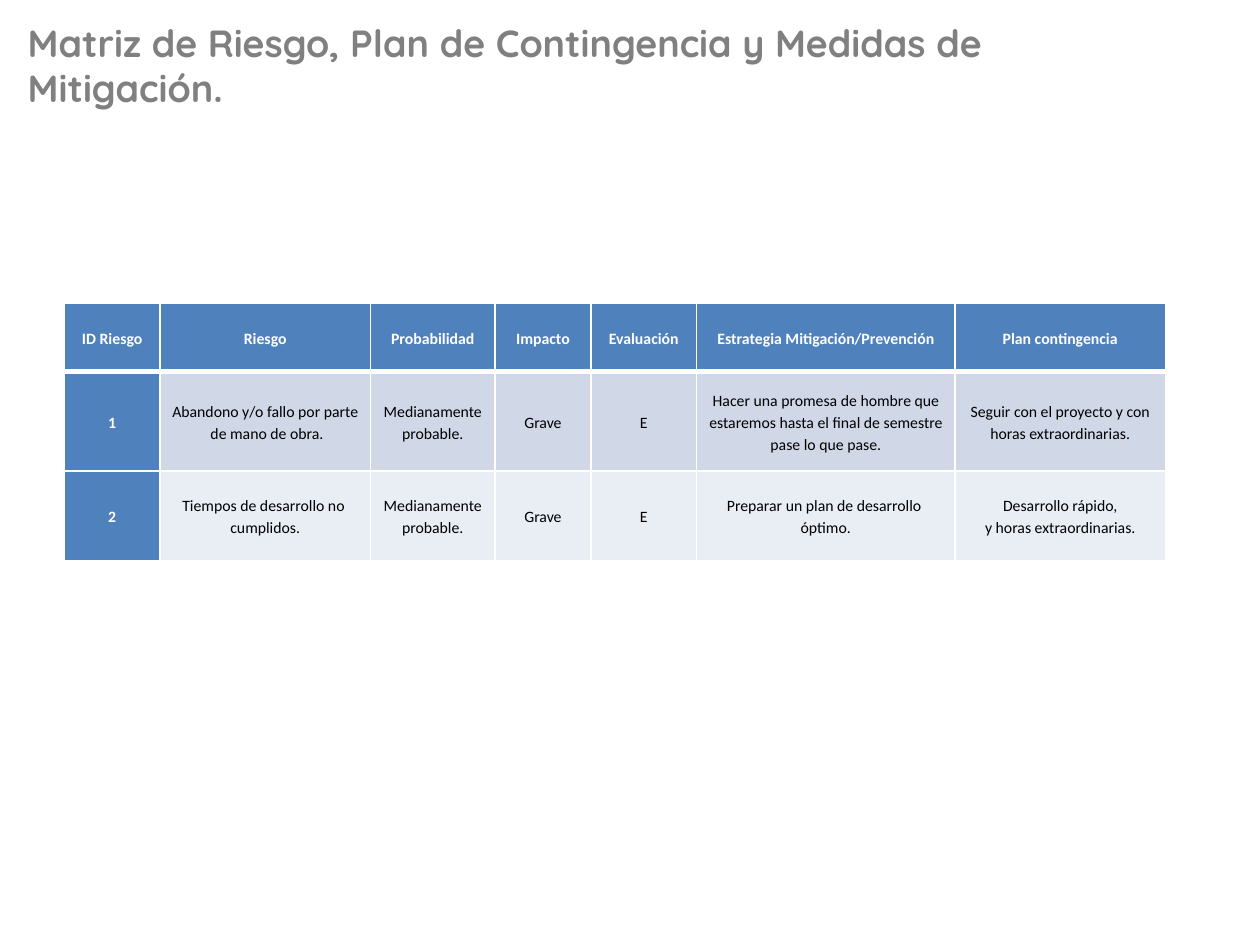
from copy import deepcopy

from pptx import Presentation, util as u
from pptx.dml.color import RGBColor
from pptx.enum import text
from pptx.oxml import parse_xml
from pptx.oxml.ns import nsdecls, qn

TITLE = "Matriz de Riesgo, Plan de Contingencia y Medidas de Mitigación."
ROWS = [
    ["ID Riesgo", "Riesgo", "Probabilidad", "Impacto", "Evaluación",
     "Estrategia Mitigación/Prevención", "Plan contingencia"],
    ["1", "Abandono y/o fallo por parte\n de mano de obra.",
     "Medianamente\nprobable.", "Grave", "E",
     "Hacer una promesa de hombre que estaremos hasta el final de semestre "
     "pase lo que pase.",
     "Seguir con el proyecto y con horas extraordinarias."],
    ["2", "Tiempos de desarrollo no \ncumplidos.",
     "Medianamente\nprobable.", "Grave", "E",
     "Preparar un plan de desarrollo \nóptimo.",
     "Desarrollo rápido,\ny horas extraordinarias."],
]
# Shares of the slide, in percent of its width and height
TITLE_BOX = (1.2, 2.67, 85, 8.4)
TABLE_POS = (5.1, 32.13)
WIDTHS = [7.6, 16.7, 9.9, 7.6, 8.4, 20.5, 16.7]
HEIGHTS = [7.2, 10.53, 9.47]
BANDS = ["D0D8E8", "E9EDF4"]


def rgb(code):
    return RGBColor.from_string(code)


def put(obj, vals):
    for key, val in vals.items():
        setattr(obj, key, val)


class Deck:
    head = "4F81BD"
    line = "FFFFFF"
    ink = "000000"
    grey = "808080"
    cell_fmt = {
        "vertical_anchor": text.MSO_ANCHOR.MIDDLE,
        "margin_left": u.Inches(0.06), "margin_right": u.Inches(0.06),
        "margin_top": 0, "margin_bottom": 0,
    }
    para_fmt = {"alignment": text.PP_ALIGN.CENTER, "line_spacing": 1.15}

    def __init__(self):
        self.prs = Presentation()
        put(self.prs, {"slide_width": u.Inches(10),
                       "slide_height": u.Inches(7.5)})
        self.slide = self.prs.slides.add_slide(self.prs.slide_layouts[0])
        sub = self.slide.placeholders[1].element
        sub.getparent().remove(sub)

    def x(self, share):
        return round(self.prs.slide_width * share / 100)

    def y(self, share):
        return round(self.prs.slide_height * share / 100)

    def style(self, para, color, **fmt):
        """Format the runs of a paragraph and the line breaks between them."""
        for run in para.runs:
            put(run.font, fmt)
            run.font.color.rgb = rgb(color)
        for brk in para._p.findall(qn("a:br")):
            brk.insert(0, deepcopy(para.runs[0]._r.rPr))

    def title(self, words, box):
        shape = self.slide.shapes.title
        left, top, wide, high = box
        put(shape, {"left": self.x(left), "top": self.y(top),
                    "width": self.x(wide), "height": self.y(high)})
        frame = shape.text_frame
        put(frame, {"word_wrap": True, "auto_size": text.MSO_AUTO_SIZE.NONE,
                    "vertical_anchor": text.MSO_ANCHOR.MIDDLE})
        para = frame.paragraphs[0]
        put(para, {"text": words, "alignment": text.PP_ALIGN.LEFT})
        self.style(para, self.grey, name="Quicksand", size=u.Pt(21.6),
                   bold=True)

    def edge(self, cell, base):
        """Draw the borders of a cell, with the bottom one base points wide."""
        props = cell._tc.get_or_add_tcPr()
        sides = {"L": 1, "R": 1, "T": 1, "B": base}
        for i, (side, pts) in enumerate(sides.items()):
            props.insert(i, parse_xml(
                f'<a:ln{side} {nsdecls("a")} w="{u.Pt(pts)}"><a:solidFill>'
                f'<a:srgbClr val="{self.line}"/></a:solidFill></a:ln{side}>'))

    def cell(self, cell, words, fill, color, bold):
        put(cell, self.cell_fmt)
        cell.fill.solid()
        cell.fill.fore_color.rgb = rgb(fill)
        para = cell.text_frame.paragraphs[0]
        put(para, {"text": words, **self.para_fmt})
        self.style(para, color, name="Calibri", size=u.Pt(9), bold=bold)

    def table(self, rows, pos, widths, heights):
        grid = self.slide.shapes.add_table(
            len(rows), len(widths), self.x(pos[0]), self.y(pos[1]),
            self.x(sum(widths)), self.y(sum(heights))).table
        grid.first_col = True
        for col, wide in zip(grid.columns, widths):
            col.width = self.x(wide)
        for r, (row, high) in enumerate(zip(rows, heights)):
            grid.rows[r].height = self.y(high)
            for c, words in enumerate(row):
                key = r == 0 or c == 0
                fill = self.head if key else BANDS[(r - 1) % len(BANDS)]
                color = self.line if key else self.ink
                self.cell(grid.cell(r, c), words, fill, color, key)
                self.edge(grid.cell(r, c), 1 if r else 3)
                if r == 1:
                    top = grid.cell(r, c)._tc.tcPr.find(qn("a:lnT"))
                    top.set("w", str(u.Pt(3)))


def main():
    deck = Deck()
    deck.title(TITLE, TITLE_BOX)
    deck.table(ROWS, TABLE_POS, WIDTHS, HEIGHTS)
    deck.prs.save("out.pptx")


if __name__ == "__main__":
    main()
